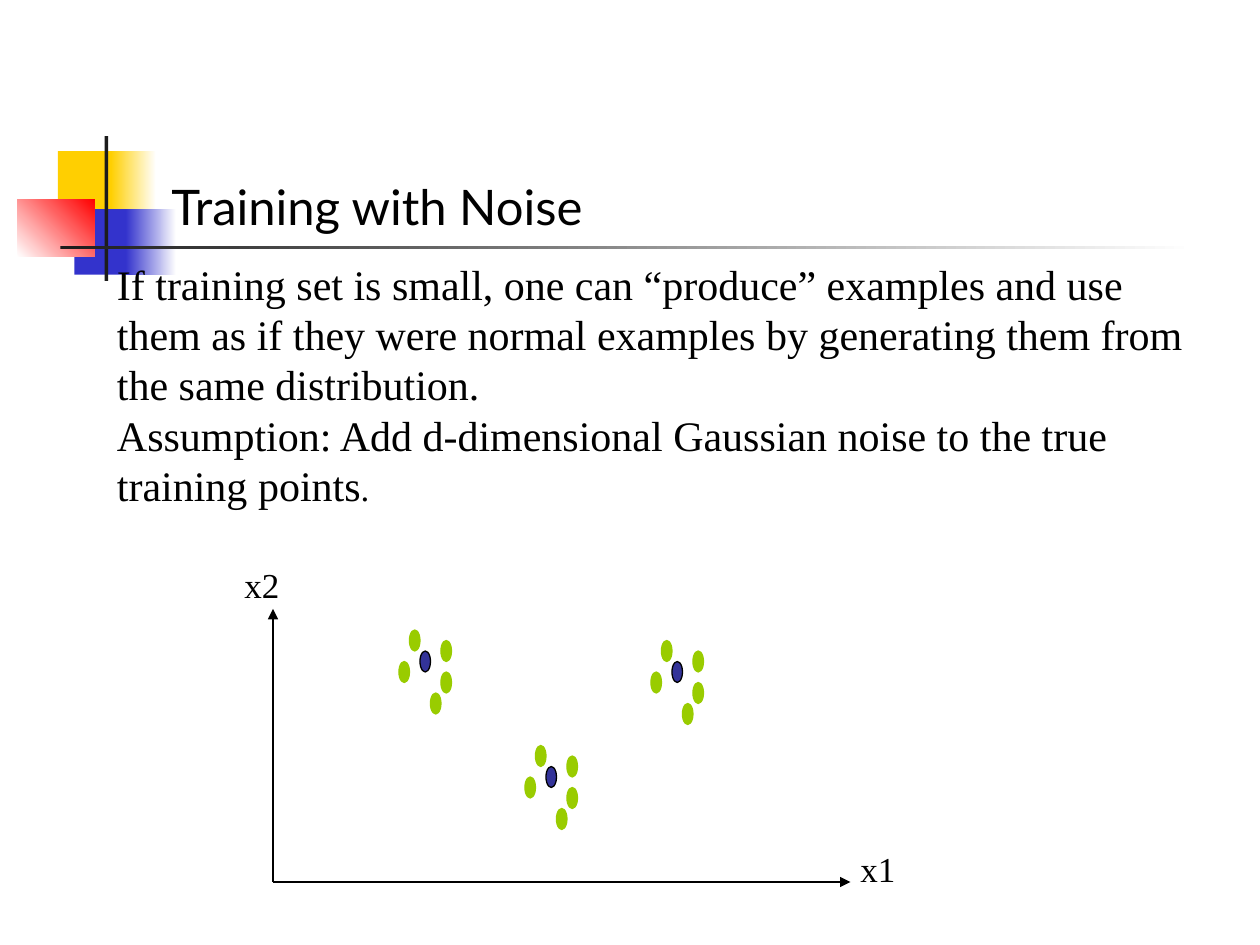
from dataclasses import dataclass
from typing import Optional

from lxml.etree import SubElement
from pptx import Presentation
from pptx.dml.color import RGBColor
from pptx.enum.shapes import MSO_CONNECTOR, MSO_SHAPE
from pptx.enum.text import MSO_ANCHOR, MSO_AUTO_SIZE, PP_ALIGN
from pptx.oxml.ns import qn
from pptx.util import Inches, Pt

CELL = Inches(1 / 12)  # the plot sits on a grid of twelfths of an inch


@dataclass(frozen=True)
class Theme:
    black: str = "000000"
    white: str = "FFFFFF"
    yellow: str = "FFCF01"
    blue: str = "3333CC"
    red: str = "FF0000"
    charcoal: str = "1C1C1C"
    noise: str = "99CC00"
    true_point: str = "333399"
    title_font: str = "Lato"
    body_font: str = "Times New Roman"
    title_size: int = 28
    body_size: int = 24
    label_size: int = 20
    line_width: float = 0.75


@dataclass(frozen=True)
class Ornament:
    left: float
    top: float
    width: float
    height: float
    color: str
    fade_to: Optional[str] = None
    angle: int = 0


@dataclass(frozen=True)
class GridPoint:
    col: int
    row: int


@dataclass(frozen=True)
class Label:
    text: str
    left: float
    top: float


THEME = Theme()

ORNAMENTS = (
    Ornament(0.46, 1.2, 0.48, 0.52, THEME.yellow),
    Ornament(0.88, 1.2, 0.36, 0.52, THEME.yellow, THEME.white),
    Ornament(0.59, 1.66, 0.46, 0.52, THEME.blue),
    Ornament(1, 1.66, 0.4, 0.52, THEME.blue, THEME.white),
    Ornament(0.14, 1.58, 0.61, 0.46, THEME.white, THEME.red, 45),
    Ornament(0.83, 1.08, 0.03, 1.15, THEME.charcoal),
    Ornament(0.48, 1.95, 9, 0.03, THEME.charcoal, THEME.white),
)

ORIGIN = GridPoint(26, 84)
AXIS_ENDS = (GridPoint(81, 84), GridPoint(26, 58))
AXIS_LABELS = (Label("x1", 6.73, 6.68), Label("x2", 1.84, 4.42))

TRUE_POINTS = (GridPoint(64, 63), GridPoint(40, 62), GridPoint(52, 73))
NOISE_OFFSETS = (
    GridPoint(1, 4), GridPoint(-1, -2), GridPoint(-2, 1),
    GridPoint(2, 2), GridPoint(2, -1),
)

BODY = (
    (
        "If training set is small, one can “produce” examples and use them as if "
        "they were normal examples by generating them from the same distribution.",
    ),
    (
        "Assumption: Add d-dimensional Gaussian noise to the true training points",
        ".",
    ),
)


def rgb(color: str) -> RGBColor:
    return RGBColor.from_string(color)


def style_font(font, name: str, size: int) -> None:
    font.name = name
    font.size = Pt(size)
    font.color.rgb = rgb(THEME.black)


def add_ornament(shapes, item: Ornament) -> None:
    box = shapes.add_shape(
        MSO_SHAPE.RECTANGLE,
        *map(Inches, (item.left, item.top, item.width, item.height)),
    )
    box.shadow.inherit = False
    box.line.fill.background()
    if item.fade_to is None:
        box.fill.solid()
        box.fill.fore_color.rgb = rgb(item.color)
    else:
        box.fill.gradient()
        box.fill.gradient_angle = item.angle
        for stop, color in zip(box.fill.gradient_stops, (item.color, item.fade_to)):
            stop.color.rgb = rgb(color)


def format_title(title) -> None:
    title.left, title.top = Inches(1.26), Inches(0.67)
    title.width, title.height = Inches(8.52), Inches(1.25)
    frame = title.text_frame
    frame.text = "Training with Noise"
    frame.auto_size = MSO_AUTO_SIZE.NONE
    frame.vertical_anchor = MSO_ANCHOR.BOTTOM
    heading = frame.paragraphs[0]
    heading.alignment = PP_ALIGN.LEFT
    style_font(heading.font, THEME.title_font, THEME.title_size)


def add_body(shapes) -> None:
    frame = shapes.add_textbox(
        Inches(0.83), Inches(2), Inches(8.83), Inches(2.77)
    ).text_frame
    frame.word_wrap = True
    for index, pieces in enumerate(BODY):
        paragraph = frame.add_paragraph() if index else frame.paragraphs[0]
        style_font(paragraph.font, THEME.body_font, THEME.body_size)
        for piece in pieces:
            run = paragraph.add_run()
            run.text = piece
            if piece == ".":
                run.font.size = Pt(THEME.label_size)


def add_axis(shapes, end: GridPoint) -> None:
    axis = shapes.add_connector(
        MSO_CONNECTOR.STRAIGHT,
        ORIGIN.col * CELL, ORIGIN.row * CELL, end.col * CELL, end.row * CELL,
    )
    axis.line.color.rgb = rgb(THEME.black)
    axis.line.width = Pt(THEME.line_width)
    SubElement(axis.line._get_or_add_ln(), qn("a:tailEnd"), type="triangle")
    SubElement(axis._element.spPr, qn("a:effectLst"))


def add_dot(shapes, col: int, row: int, fill: str, outline: str) -> None:
    dot = shapes.add_shape(MSO_SHAPE.OVAL, col * CELL, row * CELL, CELL, 2 * CELL)
    dot.shadow.inherit = False
    dot.fill.solid()
    dot.fill.fore_color.rgb = rgb(fill)
    dot.line.color.rgb = rgb(outline)
    dot.line.width = Pt(THEME.line_width)


def add_cluster(shapes, center: GridPoint) -> None:
    """Draw a true training point and the noisy examples around it."""
    add_dot(shapes, center.col, center.row, THEME.true_point, THEME.black)
    for offset in NOISE_OFFSETS:
        add_dot(shapes, center.col + offset.col, center.row + offset.row,
                THEME.noise, THEME.noise)


def add_label(shapes, label: Label) -> None:
    frame = shapes.add_textbox(
        Inches(label.left), Inches(label.top), Inches(0.48), Inches(0.44)
    ).text_frame
    frame.word_wrap = False
    frame.text = label.text
    style_font(frame.paragraphs[0].font, THEME.body_font, THEME.label_size)


def main() -> None:
    deck = Presentation()
    deck.slide_width, deck.slide_height = Inches(10), Inches(7.5)
    slide = deck.slides.add_slide(deck.slide_layouts[5])
    shapes = slide.shapes
    title = shapes.title
    for ornament in ORNAMENTS:
        add_ornament(shapes, ornament)
    shapes._spTree.append(title._element)  # the title lies over the ornaments
    format_title(title)
    add_body(shapes)
    for end in AXIS_ENDS:
        add_axis(shapes, end)
    for center in TRUE_POINTS:
        add_cluster(shapes, center)
    for label in AXIS_LABELS:
        add_label(shapes, label)
    deck.save("out.pptx")


if __name__ == "__main__":
    main()
